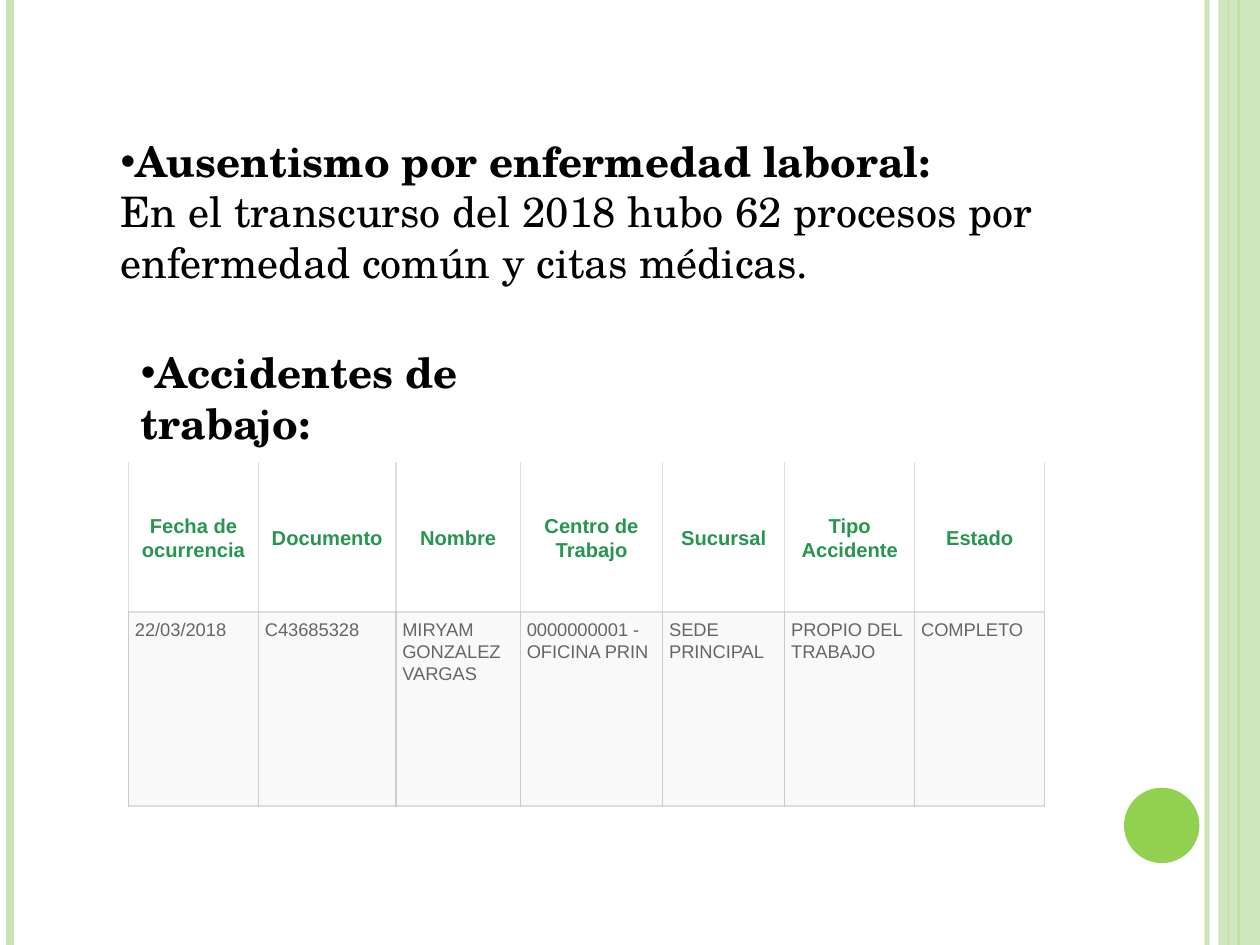
import pptx
import pptx.util
import pptx.dml.color
import pptx.enum.shapes
import pptx.enum.text
import pptx.oxml
import pptx.oxml.ns

Cm = pptx.util.Cm
Pt = pptx.util.Pt
ANCHOR = pptx.enum.text.MSO_ANCHOR
ALIGN = pptx.enum.text.PP_ALIGN
SHAPES = pptx.enum.shapes.MSO_SHAPE

THEME = {
    "pale": "C7E4B3", "green": "92D050",
    "body": {"name": "TeX Gyre Schola", "size": Pt(24), "color": "000000"},
    "header": {"name": "Arial", "size": Pt(11.5), "bold": True, "color": "279551"},
    "record": {"name": "Arial", "size": Pt(10.5), "bold": False, "color": "666666"},
}

SLIDE_SIZE = (25.4, 19.05)
VERTICAL_RULES = [
    (24.33, "pale", 3, 93),
    (0.2, "pale", 4.5, 100),
    (24.97, "green", 1.5, 100),
    (24.77, "green", 0.75, 100),
]
DECORATIONS = [
    (SHAPES.RECTANGLE, (24.56, 0, 0.84, 19.05), "pale", 87),
    (SHAPES.OVAL, (22.66, 15.88, 1.52, 1.52), "green", 100),
]
BODIES = [
    {"box": (2.18, 2.59, 19.05, 3.33), "bottom": 0.13, "paragraphs": [
        ("Ausentismo por enfermedad laboral:", True),
        ("En el transcurso del 2018 hubo 62 procesos por enfermedad común y citas médicas.", False),
    ]},
    {"box": (2.59, 7.34, 10.11, 2.06), "bottom": 0.85, "paragraphs": [
        ("Accidentes de trabajo:", True),
    ]},
]
TABLE_ORIGIN = (2.59, 9.32)
COLUMNS = [
    ("Fecha de ocurrencia", "22/03/2018", 2.62),
    ("Documento", "C43685328", 2.77),
    ("Nombre", "MIRYAM GONZALEZ VARGAS", 2.51),
    ("Centro de Trabajo", "0000000001 - OFICINA PRIN", 2.87),
    ("Sucursal", "SEDE PRINCIPAL", 2.46),
    ("Tipo Accidente", "PROPIO DEL TRABAJO", 2.62),
    ("Estado", "COMPLETO", 2.62),
]
ROWS = [
    {"height": 3.02, "font": "header", "fill": "FFFFFF", "anchor": ANCHOR.MIDDLE, "align": ALIGN.CENTER,
     "borders": {"L": ("DDDDDD", 1), "R": ("DDDDDD", 1), "T": None, "B": ("DDDDDD", 1.5)}},
    {"height": 3.91, "font": "record", "fill": "F9F9F9", "anchor": ANCHOR.TOP, "align": ALIGN.LEFT,
     "borders": {"L": ("CCCCCC", 1), "R": ("CCCCCC", 1), "T": ("DDDDDD", 1.5), "B": ("DDDDDD", 1)}},
]


def rgb(color):
    return pptx.dml.color.RGBColor.from_string(color)


def set_values(target, values):
    for name, value in values.items():
        setattr(target, name, value)


def set_font(font, values):
    for name, value in values.items():
        if name == "color":
            font.color.rgb = rgb(value)
        else:
            setattr(font, name, value)


def add_element(parent, tag, **attributes):
    element = pptx.oxml.ns.qn(tag)
    child = parent.makeelement(element, attributes)
    parent.append(child)
    return child


def set_opacity(shape, percent):
    if percent < 100:
        for color in shape.element.spPr.iter(pptx.oxml.ns.qn("a:srgbClr")):
            add_element(color, "a:alpha", val=str(percent * 1000))


def add_vertical_rule(slide, left, color, width, opacity):
    rule = slide.shapes.add_connector(
        pptx.enum.shapes.MSO_CONNECTOR.STRAIGHT, Cm(left), Cm(0), Cm(left), Cm(SLIDE_SIZE[1]))
    rule.line.color.rgb = rgb(THEME[color])
    rule.line.width = Pt(width)
    set_opacity(rule, opacity)
    add_element(rule.element.spPr, "a:effectLst")


def add_decoration(slide, kind, box, color, opacity):
    shape = slide.shapes.add_shape(kind, *map(Cm, box))
    shape.shadow.inherit = False
    shape.fill.solid()
    shape.fill.fore_color.rgb = rgb(THEME[color])
    shape.line.fill.background()
    set_opacity(shape, opacity)


def fill_body(placeholder, content):
    set_values(placeholder, dict(zip(("left", "top", "width", "height"), map(Cm, content["box"]))))
    frame = placeholder.text_frame
    set_values(frame, {
        "word_wrap": True, "auto_size": pptx.enum.text.MSO_AUTO_SIZE.NONE,
        "vertical_anchor": ANCHOR.MIDDLE, "margin_left": Cm(0.25), "margin_right": Cm(0.25),
        "margin_top": Cm(0.13), "margin_bottom": Cm(content["bottom"])})
    for index, (text, is_heading) in enumerate(content["paragraphs"]):
        paragraph = frame.add_paragraph() if index else frame.paragraphs[0]
        set_values(paragraph, {"alignment": ALIGN.LEFT, "space_before": Pt(0), "space_after": Pt(0)})
        run = paragraph.add_run()
        run.text = text
        set_font(run.font, {**THEME["body"], "bold": is_heading})
        properties = paragraph._p.get_or_add_pPr()
        properties.set("marL", "0")
        properties.set("indent", "0")
        if is_heading:
            add_element(properties, "a:buFont", typeface="Arial")
            add_element(properties, "a:buChar", char="•")
        else:
            add_element(properties, "a:buNone")


def format_cell(cell, text, style):
    properties = cell._tc.get_or_add_tcPr()
    for side, border in style["borders"].items():
        line = add_element(properties, "a:ln" + side)
        if border is None:
            add_element(line, "a:noFill")
            continue
        color, width = border
        line.set("w", str(Pt(width)))
        add_element(add_element(line, "a:solidFill"), "a:srgbClr", val=color)
    cell.fill.solid()
    cell.fill.fore_color.rgb = rgb(style["fill"])
    margins = ("margin_left", "margin_right", "margin_top", "margin_bottom")
    set_values(cell, {"vertical_anchor": style["anchor"], **dict.fromkeys(margins, Cm(0.13))})
    paragraph = cell.text_frame.paragraphs[0]
    set_values(paragraph, {"alignment": style["align"], "line_spacing": 1.07, "space_after": Pt(15)})
    run = paragraph.add_run()
    run.text = text
    set_font(run.font, THEME[style["font"]])


def add_accident_table(slide):
    width = sum(column[2] for column in COLUMNS)
    height = sum(row["height"] for row in ROWS)
    table = slide.shapes.add_table(
        len(ROWS), len(COLUMNS), *map(Cm, (*TABLE_ORIGIN, width, height))).table
    set_values(table, {"first_row": False, "horz_banding": False})
    for row, style in enumerate(ROWS):
        table.rows[row].height = Cm(style["height"])
        for column, content in enumerate(COLUMNS):
            table.columns[column].width = Cm(content[2])
            format_cell(table.cell(row, column), content[row], style)


def main():
    presentation = pptx.Presentation()
    set_values(presentation, dict(zip(("slide_width", "slide_height"), map(Cm, SLIDE_SIZE))))
    slide = presentation.slides.add_slide(presentation.slide_layouts.get_by_name("Two Content"))
    title, *placeholders = slide.placeholders
    title.element.getparent().remove(title.element)
    for rule in VERTICAL_RULES:
        add_vertical_rule(slide, *rule)
    for decoration in DECORATIONS:
        add_decoration(slide, *decoration)
    for placeholder, content in zip(placeholders, BODIES):
        fill_body(placeholder, content)
    add_accident_table(slide)
    presentation.save("out.pptx")


if __name__ == "__main__":
    main()
